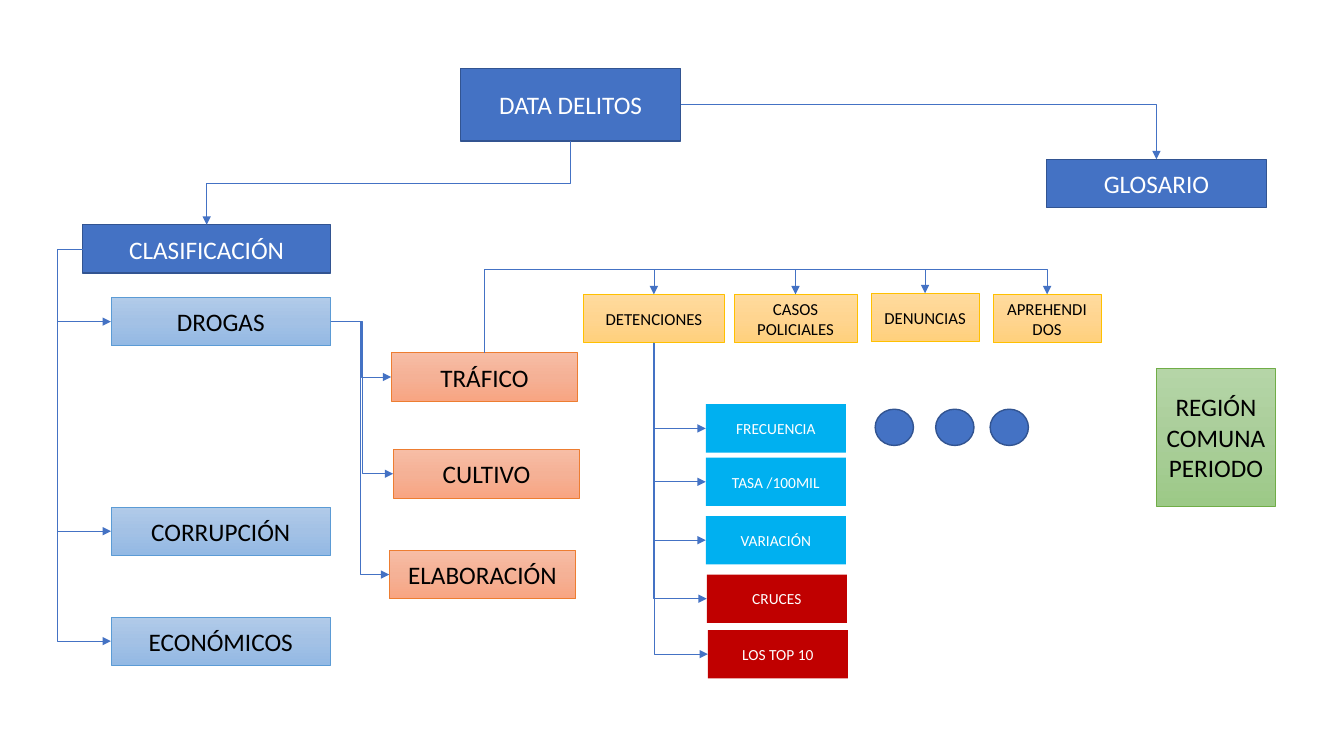
from copy import deepcopy
from dataclasses import dataclass

from lxml import etree
from pptx import Presentation
from pptx.dml.color import RGBColor
from pptx.enum.shapes import MSO_CONNECTOR, MSO_SHAPE
from pptx.enum.text import MSO_ANCHOR, PP_ALIGN
from pptx.oxml.ns import qn
from pptx.util import Inches, Pt

RECTANGLE = MSO_SHAPE.RECTANGLE
OVAL = MSO_SHAPE.OVAL
ELBOW = MSO_CONNECTOR.ELBOW
MIDDLE = MSO_ANCHOR.MIDDLE
CENTER = PP_ALIGN.CENTER
TOP, LEFT, BOTTOM, RIGHT = range(4)


@dataclass(frozen=True)
class Look:
    fills: tuple
    outline: str = ""
    outline_width: float = 0.5
    ink: str = "000000"
    size: int = 18


@dataclass(frozen=True)
class Theme:
    font: str = "Calibri"
    connector: str = "4472C4"
    connector_width: float = 0.5
    heading: Look = Look(("4472C4",), "325491", 1, "FFFFFF")
    category: Look = Look(("B1CBE9", "A3C1E5", "93B9E4"), "5B9BD5")
    drug: Look = Look(("F7BDA5", "F5B196", "F8A582"), "ED7D31")
    source: Look = Look(("FFDB9E", "FFD590", "FFD07C"), "FFC000", size=12)
    filters: Look = Look(("B5D5A7", "AACE9A", "9CC987"), "70AD47")
    measure: Look = Look(("00B0F0",), ink="FFFFFF", size=11)
    report: Look = Look(("C00000",), ink="FFFFFF", size=11)


@dataclass(frozen=True)
class Route:
    preset: str
    start: int
    end: int
    rotation: int = 0
    flips: str = ""
    reach: float = 0


SIDEWAYS = Route("bentConnector3", RIGHT, LEFT)
AROUND = Route("bentConnector3", LEFT, LEFT, 180, "hv", -0.25)
DOWN = Route("bentConnector3", BOTTOM, TOP, 90)
OVER = Route("bentConnector3", TOP, TOP, 90, "hv", 0.83)
CORNER = Route("bentConnector2", RIGHT, TOP)
BRANCH = Route("bentConnector2", BOTTOM, LEFT, 270, "h")


class Diagram:
    def __init__(self, page, theme):
        self.page = page
        self.theme = theme

    def shape(self, kind, look, left, top, width, height):
        shape = self.page.shapes.add_shape(
            kind, Inches(left), Inches(top), Inches(width), Inches(height))
        shape.shadow.inherit = False
        if len(look.fills) == 1:
            shape.fill.solid()
            shape.fill.fore_color.rgb = RGBColor.from_string(look.fills[0])
        else:
            self.shade(shape, look.fills)
        if look.outline:
            shape.line.color.rgb = RGBColor.from_string(look.outline)
            shape.line.width = Pt(look.outline_width)
        else:
            shape.line.fill.background()
        return shape

    def shade(self, shape, colours):
        shape.fill.gradient()
        shape.fill.gradient_angle = 270
        stop_list = shape.element.spPr.find(".//" + qn("a:gsLst"))
        stop_list.insert(1, deepcopy(stop_list[0]))
        for index, (stop, colour) in enumerate(zip(shape.fill.gradient_stops, colours)):
            stop.position = index / 2
            stop.color.rgb = RGBColor.from_string(colour)

    def box(self, look, lines, left, top, width, height=0.48):
        box = self.shape(RECTANGLE, look, left, top, width, height)
        frame = box.text_frame
        frame.word_wrap = True
        frame.vertical_anchor = MIDDLE
        for index, line in enumerate(lines.split("\n")):
            para = frame.add_paragraph() if index else frame.paragraphs[0]
            para.alignment = CENTER
            span = para.add_run()
            span.text = line
            span.font.name = self.theme.font
            span.font.size = Pt(look.size)
            span.font.color.rgb = RGBColor.from_string(look.ink)
        return box

    def dot(self, left):
        self.shape(OVAL, self.theme.heading, left, 4.06, 0.38, 0.36)

    def arrow(self, origin, target, route):
        arrow = self.page.shapes.add_connector(ELBOW, 0, 0, 0, 0)
        arrow.begin_connect(origin, route.start)
        arrow.end_connect(target, route.end)
        across = abs(arrow.end_x - arrow.begin_x)
        down = abs(arrow.end_y - arrow.begin_y)
        center_x = (arrow.begin_x + arrow.end_x) // 2
        center_y = (arrow.begin_y + arrow.end_y) // 2
        width, height = (across, down) if route.rotation % 180 == 0 else (down, across)
        arrow.left, arrow.top = center_x - width // 2, center_y - height // 2
        arrow.width, arrow.height = width, height

        properties = arrow.element.spPr
        frame = properties.find(qn("a:xfrm"))
        frame.set("rot", str(route.rotation * 60000))
        frame.set("flipH", str(int("h" in route.flips)))
        frame.set("flipV", str(int("v" in route.flips)))
        geometry = properties.find(qn("a:prstGeom"))
        geometry.set("prst", route.preset)
        if route.reach:
            bend = round(Inches(route.reach) / width * 100000)
            etree.SubElement(geometry.find(qn("a:avLst")), qn("a:gd"),
                             name="adj1", fmla=f"val {bend}")

        arrow.line.color.rgb = RGBColor.from_string(self.theme.connector)
        arrow.line.width = Pt(self.theme.connector_width)
        etree.SubElement(properties.find(qn("a:ln")), qn("a:tailEnd"), type="triangle")
        etree.SubElement(properties, qn("a:effectLst"))

    def arrows(self, origin, targets, route):
        for target in targets:
            self.arrow(origin, target, route)


def main():
    deck = Presentation()
    deck.slide_width, deck.slide_height = Inches(13.33), Inches(7.5)
    theme = Theme()
    diagram = Diagram(deck.slides.add_slide(deck.slide_layouts[6]), theme)

    crime_data = diagram.box(theme.heading, "DATA DELITOS", 4.57, 0.68, 2.18, 0.72)
    glossary = diagram.box(theme.heading, "GLOSARIO", 10.38, 1.58, 2.18)
    classification = diagram.box(theme.heading, "CLASIFICACIÓN", 0.82, 2.23, 2.46)
    categories = [
        diagram.box(theme.category, name, 1.1, top, 2.18)
        for name, top in (("DROGAS", 2.95), ("CORRUPCIÓN", 5.03), ("ECONÓMICOS", 6.12))
    ]
    drugs = [
        diagram.box(theme.drug, name, left, top, 1.85)
        for name, left, top in (
            ("TRÁFICO", 3.88, 3.5), ("CULTIVO", 3.9, 4.46), ("ELABORACIÓN", 3.86, 5.46))
    ]
    sources = [
        diagram.box(theme.source, name, left, top, width)
        for name, left, top, width in (
            ("DETENCIONES", 5.79, 2.92, 1.39),
            ("CASOS POLICIALES", 7.28, 2.92, 1.22),
            ("DENUNCIAS", 8.64, 2.91, 1.07),
            ("APREHENDIDOS", 9.85, 2.92, 1.07))
    ]
    details = [
        diagram.box(look, name, left, top, 1.39)
        for look, name, left, top in (
            (theme.measure, "FRECUENCIA", 7, 4.01),
            (theme.measure, "TASA /100MIL", 7, 4.54),
            (theme.measure, "VARIACIÓN", 7, 5.12),
            (theme.report, "CRUCES", 7.01, 5.7),
            (theme.report, "LOS TOP 10", 7.02, 6.25))
    ]
    diagram.box(theme.filters, "REGIÓN\nCOMUNA\nPERIODO", 11.47, 3.65, 1.18, 1.37)
    for left in (8.68, 9.28, 9.82):
        diagram.dot(left)

    diagram.arrow(crime_data, classification, DOWN)
    diagram.arrow(crime_data, glossary, CORNER)
    diagram.arrows(classification, categories, AROUND)
    diagram.arrows(categories[0], drugs, SIDEWAYS)
    diagram.arrows(drugs[0], sources, OVER)
    diagram.arrows(sources[0], details, BRANCH)
    deck.save("out.pptx")


if __name__ == "__main__":
    main()
